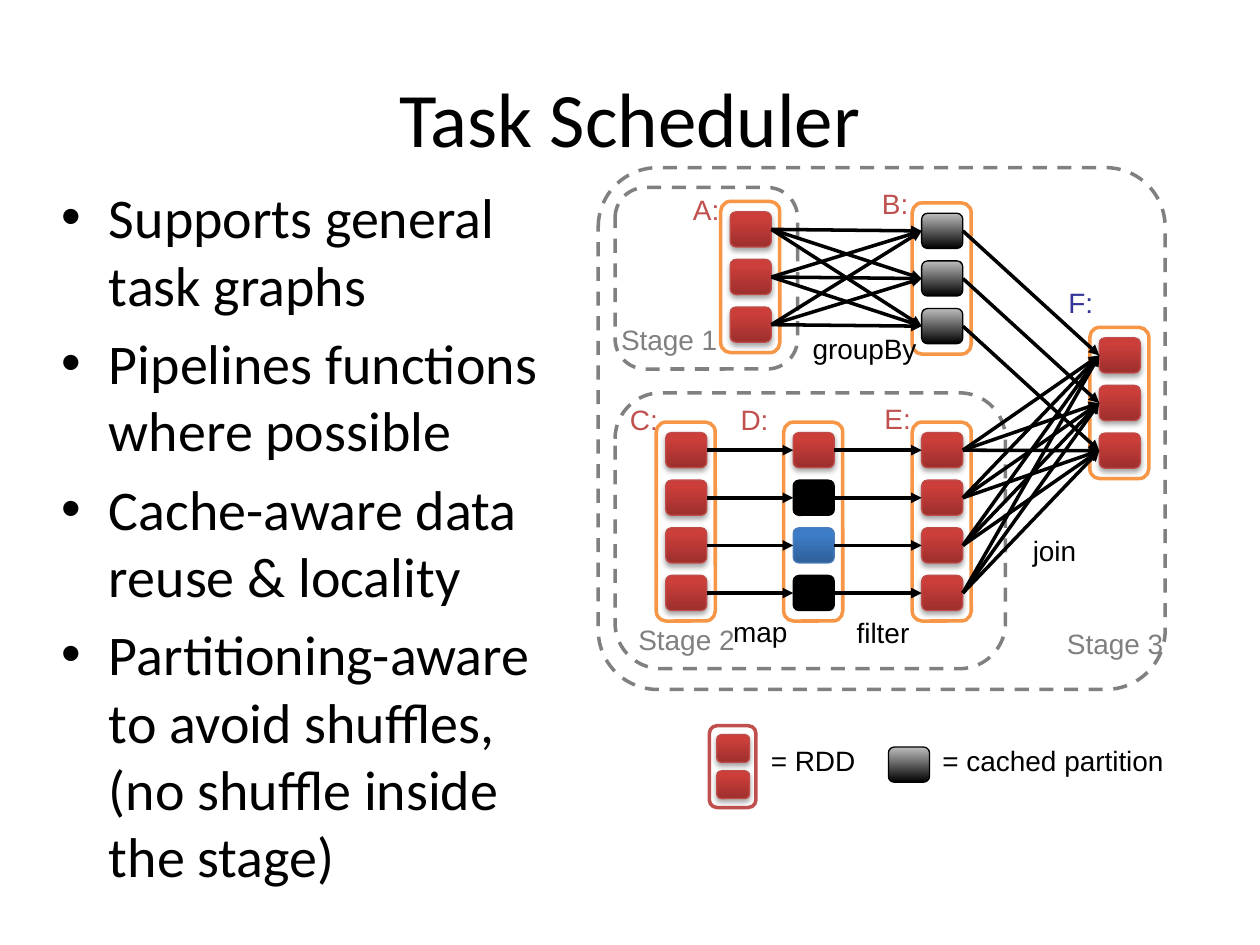
"""Build the Task Scheduler slide: a bullet list beside a staged task graph."""
from dataclasses import dataclass
from itertools import product

from lxml.etree import SubElement
from pptx import Presentation
from pptx.dml.color import RGBColor
from pptx.enum.dml import MSO_LINE
from pptx.enum.shapes import MSO_CONNECTOR, MSO_SHAPE
from pptx.enum.text import MSO_ANCHOR, MSO_AUTO_SIZE, PP_ALIGN
from pptx.oxml import parse_xml
from pptx.oxml.ns import nsdecls, qn
from pptx.util import Cm, Pt


@dataclass(frozen=True)
class Theme:
    black: str = "000000"
    white: str = "FFFFFF"
    gray: str = "808080"
    orange: str = "F79646"
    red: str = "C0504D"
    indigo: str = "333399"
    red_edge: str = "BF4C48"
    blue_edge: str = "4B7EBC"
    red_shade: tuple = (("9C2F2D", 0), ("CB3E3A", 0.8))
    blue_shade: tuple = (("2F5F99", 0), ("3D7CC7", 0.8))
    cached_shade: tuple = (("000000", 0), ("BDBDBD", 1))
    text_font: str = "Calibri"
    label_font: str = "Arial"
    title_size: int = 44
    body_size: int = 32
    label_size: int = 16
    thick: float = 2
    thin: float = 0.75


theme = Theme()

SHADOW = (
    f'<a:outerShdw {nsdecls("a")} blurRad="39370" dist="22860" dir="5400000" rotWithShape="0">'
    '<a:srgbClr val="000000"><a:alpha val="35000"/></a:srgbClr></a:outerShdw>'
)


def add_box(shapes, left, top, width, height, line, fill=None, weight=theme.thick,
            dashed=False, shadow=False, rounding=None):
    box = shapes.add_shape(MSO_SHAPE.ROUNDED_RECTANGLE, Cm(left), Cm(top), Cm(width), Cm(height))
    box.shadow.inherit = False
    if shadow:
        box._element.spPr.find(qn("a:effectLst")).append(parse_xml(SHADOW))
    if rounding is not None:
        box.adjustments[0] = rounding
    if fill is None:
        box.fill.background()
    elif isinstance(fill, tuple):
        box.fill.gradient()
        box.fill.gradient_angle = 90
        for stop, (color, position) in zip(box.fill.gradient_stops, fill):
            stop.color.rgb = RGBColor.from_string(color)
            stop.position = position
    else:
        box.fill.solid()
        box.fill.fore_color.rgb = RGBColor.from_string(fill)
    box.line.color.rgb = RGBColor.from_string(line)
    box.line.width = Pt(weight)
    if dashed:
        box.line.dash_style = MSO_LINE.DASH
    return box


def add_text(para, text, font=theme.label_font, size=theme.label_size,
             color=theme.black, align=PP_ALIGN.LEFT):
    para.alignment = align
    span = para.add_run()
    span.text = text
    span.font.name = font
    span.font.size = Pt(size)
    span.font.color.rgb = RGBColor.from_string(color)


deck = Presentation()
deck.slide_width, deck.slide_height = Cm(25.4), Cm(19.05)
page = deck.slides.add_slide(deck.slide_layouts[1])

title, body = page.placeholders
for holder, (left, top, width, height) in (
    (title, (1.27, 0.76, 22.86, 3.18)),
    (body, (0.99, 3.56, 10.54, 13.46)),
):
    holder.left, holder.top, holder.width, holder.height = Cm(left), Cm(top), Cm(width), Cm(height)
    holder.text_frame.auto_size = MSO_AUTO_SIZE.NONE
    holder.text_frame.word_wrap = True
title.text_frame.vertical_anchor = MSO_ANCHOR.MIDDLE
add_text(title.text_frame.paragraphs[0], "Task Scheduler", font=theme.text_font,
         size=theme.title_size, align=PP_ALIGN.CENTER)

bullets = (
    "Supports general task graphs",
    "Pipelines functions where possible",
    "Cache-aware data reuse & locality",
    "Partitioning-aware to avoid shuffles, (no shuffle inside the stage)",
)
for index, bullet in enumerate(bullets):
    para = body.text_frame.add_paragraph() if index else body.text_frame.paragraphs[0]
    para.space_before = Pt(6.4 if index else 0)
    add_text(para, bullet, font=theme.text_font, size=theme.body_size)

stages = (
    (12.06, 3.38, 11.43, 10.52, 0.114),
    (12.4, 3.78, 3.68, 3.66, None),
    (12.4, 7.92, 7.87, 5.56, None),
)
for left, top, width, height, rounding in stages:
    add_box(page.shapes, left, top, width, height, theme.gray, dashed=True, rounding=rounding)

partition_styles = {
    "red": dict(fill=theme.red_shade, line=theme.red_edge, shadow=True),
    "blue": dict(fill=theme.blue_shade, line=theme.blue_edge),
    "cached": dict(fill=theme.cached_shade, line=theme.black),
    "black": dict(fill=theme.black, line=theme.black),
}
datasets = {
    "A": (14.53, 4.06, ["red"] * 3),
    "B": (18.39, 4.09, ["cached"] * 3),
    "C": (13.23, 8.51, ["red"] * 4),
    "D": (15.8, 8.51, ["red", "black", "blue", "black"]),
    "E": (18.39, 8.51, ["red"] * 4),
    "F": (21.97, 6.6, ["red"] * 3),
}
pitch = 0.96
partitions = {}
for name, (left, top, styles) in datasets.items():
    add_box(page.shapes, left, top, 1.19, 0.17 + pitch * len(styles), theme.orange, theme.white)
    partitions[name] = [
        add_box(page.shapes, left + 0.19, top + 0.21 + pitch * row, 0.83, 0.71,
                weight=theme.thin, **partition_styles[style])
        for row, style in enumerate(styles)
    ]

links = [
    *product(partitions["A"], partitions["B"]),
    *product(partitions["E"], partitions["F"]),
    *zip(partitions["B"], partitions["F"]),
    *zip(partitions["C"], partitions["D"]),
    *zip(partitions["D"], partitions["E"]),
]
for source, target in links:
    arrow = page.shapes.add_connector(MSO_CONNECTOR.STRAIGHT, 0, 0, 0, 0)
    arrow.begin_connect(source, 3)
    arrow.end_connect(target, 1)
    arrow.line.color.rgb = RGBColor.from_string(theme.black)
    arrow.line.width = Pt(theme.thick)
    SubElement(arrow.line._get_or_add_ln(), qn("a:tailEnd"), type="triangle")
    SubElement(arrow._element.spPr, qn("a:effectLst"))

legend = page.shapes.add_group_shape()
add_box(legend.shapes, 14.3, 14.63, 0.94, 1.65, theme.red, theme.white)
for top in (14.81, 15.54):
    add_box(legend.shapes, 14.45, top, 0.66, 0.56, weight=theme.thin, **partition_styles["red"])
add_box(page.shapes, 17.91, 15.06, 0.83, 0.71, weight=theme.thin, **partition_styles["cached"])

labels = (
    ("A:", 13.72, 3.76, 1.04, theme.red),
    ("B:", 17.53, 3.63, 1.04, theme.red),
    ("C:", 12.45, 8, 1.09, theme.red),
    ("D:", 14.68, 8, 1.09, theme.red),
    ("E:", 17.58, 7.98, 1.04, theme.red),
    ("F:", 21.29, 5.64, 1.02, theme.indigo),
    ("Stage 1", 12.27, 6.38, 2.49, theme.gray),
    ("Stage 2", 12.62, 12.42, 2.49, theme.gray),
    ("Stage 3", 21.26, 12.5, 2.49, theme.gray),
    ("groupBy", 16.13, 6.55, 2.64, theme.black),
    ("map", 14.53, 12.27, 1.63, theme.black),
    ("filter", 17.02, 12.29, 1.6, theme.black),
    ("join", 20.57, 10.64, 1.4, theme.black),
    ("= RDD", 15.29, 14.86, 2.24, theme.black),
    ("= cached partition", 18.75, 14.86, 5.03, theme.black),
)
for text, left, top, width, color in labels:
    label = page.shapes.add_textbox(Cm(left), Cm(top), Cm(width), Cm(0.94))
    label.text_frame.word_wrap = False
    label.text_frame.auto_size = MSO_AUTO_SIZE.SHAPE_TO_FIT_TEXT
    add_text(label.text_frame.paragraphs[0], text, color=color)

deck.save("out.pptx")
